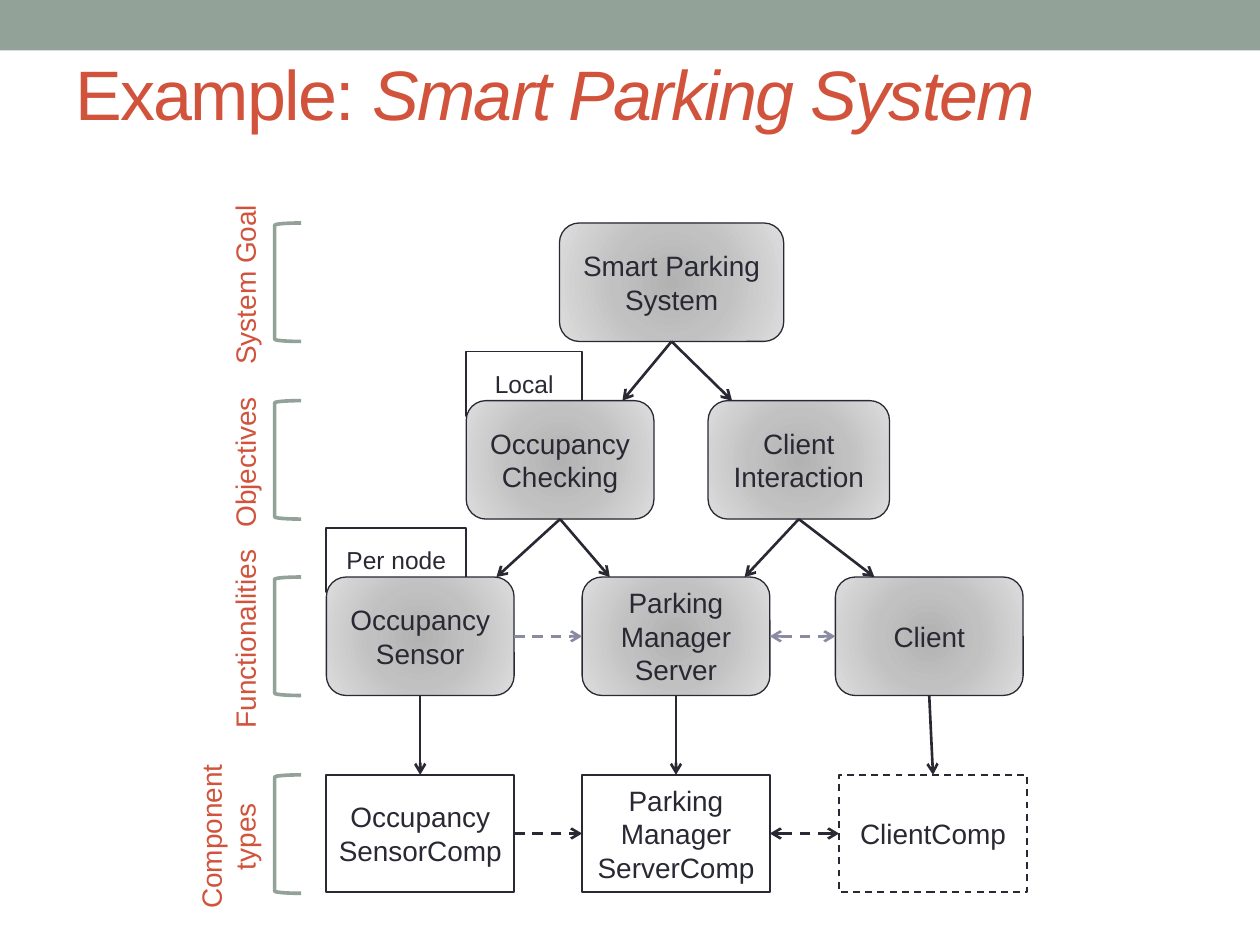
from dataclasses import dataclass

import lxml.etree
import pptx
import pptx.dml.color
import pptx.enum.dml
import pptx.enum.shapes
import pptx.enum.text
import pptx.oxml.ns
import pptx.util

Inches = pptx.util.Inches
SHAPES = pptx.enum.shapes.MSO_SHAPE
DASH = pptx.enum.dml.MSO_LINE.DASH
ALIGN = pptx.enum.text.PP_ALIGN
MIDDLE = pptx.enum.text.MSO_ANCHOR.MIDDLE
qn = pptx.oxml.ns.qn


@dataclass(frozen=True)
class Theme:
    """Colours, font and type sizes of the slide."""
    band: str = "93A299"
    accent: str = "D2533C"
    ink: str = "292934"
    muted: str = "8A8AA3"
    paper: str = "FFFFFF"
    goal_stops: tuple = ((0, "B2B2B3"), (45, "C1C1C2"), (100, "DDDDDE"))
    font: str = "Arial"
    title_size: int = 40
    body_size: int = 16
    tag_size: int = 14


THEME = Theme()
ROW_TOPS = (0.34, 1.75, 3.15, 4.72)
ROW_HEIGHT = 0.94


@dataclass(frozen=True)
class Box:
    """A rectangle in inches."""
    left: float
    top: float
    width: float
    height: float

    @property
    def center(self):
        """Horizontal middle of the box."""
        return self.left + self.width / 2

    @property
    def middle(self):
        """Vertical middle of the box."""
        return self.top + self.height / 2

    @property
    def right(self):
        """Right edge of the box."""
        return self.left + self.width

    @property
    def bottom(self):
        """Bottom edge of the box."""
        return self.top + self.height

    def inner(self, left, top, width, height):
        """Return a box placed relative to this one."""
        return Box(self.left + left, self.top + top, width, height)

    def emu(self):
        """Return the four lengths for python-pptx."""
        return [Inches(v) for v in (self.left, self.top, self.width, self.height)]


def rgb(value):
    """Turn a hex string into a colour."""
    return pptx.dml.color.RGBColor.from_string(value)


def write(paragraph, text, size=THEME.body_size, color=THEME.ink,
          italic=False, align=ALIGN.CENTER, spacing=None):
    """Append formatted text to a paragraph, breaking lines at newlines."""
    paragraph.alignment = align
    for index, line in enumerate(text.split("\n")):
        if index:
            paragraph.add_line_break()
        run = paragraph.add_run()
        run.text = line
        run.font.name, run.font.size = THEME.font, pptx.util.Pt(size)
        run.font.color.rgb = rgb(color)
        run.font.italic = italic
        if spacing is not None:
            run.font._element.set("spc", str(spacing * 100))


def style_line(line, color, width, dashed=False):
    """Set colour, width and dash of an outline."""
    line.color.rgb = rgb(color)
    line.width = pptx.util.Pt(width)
    if dashed:
        line.dash_style = DASH


def fill_radial(shape):
    """Fill a shape with the theme's circular gradient."""
    shape.fill.gradient()
    gradient = shape._element.spPr.find(qn("a:gradFill"))
    for child in list(gradient):
        gradient.remove(child)
    stops = lxml.etree.SubElement(gradient, qn("a:gsLst"))
    for position, color in THEME.goal_stops:
        stop = lxml.etree.SubElement(stops, qn("a:gs"), pos=str(position * 1000))
        lxml.etree.SubElement(stop, qn("a:srgbClr"), val=color)
    path = lxml.etree.SubElement(gradient, qn("a:path"), path="circle")
    lxml.etree.SubElement(path, qn("a:fillToRect"), dict.fromkeys("ltrb", "100000"))


def add_node(slide, box, text, goal=False, dashed=False, size=THEME.body_size):
    """Add a rounded goal node or a plain rectangular node."""
    kind = SHAPES.ROUNDED_RECTANGLE if goal else SHAPES.RECTANGLE
    node = slide.shapes.add_shape(kind, *box.emu())
    node.shadow.inherit = False
    if goal:
        fill_radial(node)
    else:
        node.fill.solid()
        node.fill.fore_color.rgb = rgb(THEME.paper)
    style_line(node.line, THEME.ink, 0.75 if goal else 1, dashed)
    frame = node.text_frame
    frame.word_wrap, frame.vertical_anchor = True, MIDDLE
    frame.margin_left = frame.margin_right = Inches(0.08)
    write(frame.paragraphs[0], text, size=size)
    return box


def add_arrow(slide, start, end, color=THEME.ink, dashed=False, both=False):
    """Add an arrow between two points."""
    ends = [Inches(v) for v in (*start, *end)]
    arrow = slide.shapes.add_connector(pptx.enum.shapes.MSO_CONNECTOR.STRAIGHT, *ends)
    style_line(arrow.line, color, 1.5, dashed)
    line = arrow.line._get_or_add_ln()
    for tag in ("a:headEnd", "a:tailEnd") if both else ("a:tailEnd",):
        lxml.etree.SubElement(line, qn(tag), type="arrow")
    lxml.etree.SubElement(arrow._element.spPr, qn("a:effectLst"))


def draw_band(slide, box):
    """Draw the band across the top."""
    band = slide.shapes.add_shape(SHAPES.RECTANGLE, *box.emu())
    band.shadow.inherit = False
    band.fill.solid()
    band.fill.fore_color.rgb = rgb(THEME.band)
    band.line.fill.background()


def draw_title(slide, box):
    """Place and format the title."""
    title = slide.shapes.title
    title.left, title.top, title.width, title.height = box.emu()
    title.text_frame.vertical_anchor = MIDDLE
    look = dict(size=THEME.title_size, color=THEME.accent, align=ALIGN.LEFT, spacing=-1)
    write(title.text_frame.paragraphs[0], "Example: ", **look)
    write(title.text_frame.paragraphs[0], "Smart Parking System", italic=True, **look)


def draw_levels(slide, box):
    """Draw the rotated level names with their brackets."""
    levels = (("System Goal", 1.9, 0.37), ("Objectives", 1.97, 0.37),
              ("Functionalities", 2.19, 0.37), ("Component\ntypes", 1.85, 0.64))
    for top, (name, length, depth) in zip(ROW_TOPS, levels):
        bracket_box = box.inner(0.96, top, 0.21, ROW_HEIGHT)
        bracket = slide.shapes.add_shape(SHAPES.LEFT_BRACKET, *bracket_box.emu())
        bracket.shadow.inherit = False
        bracket.fill.background()
        style_line(bracket.line, THEME.band, 2.08)
        label_box = Box(box.left + 0.91 - (depth + length) / 2,
                        bracket_box.middle + 0.02 - depth / 2, length, depth)
        label = slide.shapes.add_textbox(*label_box.emu())
        label.rotation = 270
        label.text_frame.word_wrap = True
        write(label.text_frame.paragraphs[0], name, color=THEME.accent)


def draw_tree(slide, box):
    """Draw the goal tree, its component types and their arrows."""
    for left, top, width, text in ((1.37, 2.76, 1.11, "Per node"), (2.48, 1.36, 0.92, "Local")):
        add_node(slide, box.inner(left, top, width, 0.51), text, size=THEME.tag_size)

    goal_rows = (((3.22, 1.78, "Smart Parking System"),),
                 ((2.48, 1.49, "Occupancy Checking"), (4.4, 1.44, "Client Interaction")),
                 ((1.37, 1.49, "Occupancy Sensor"), (3.4, 1.49, "Parking Manager Server"),
                  (5.41, 1.49, "Client")))
    (system,), (checking, interaction), functions = [
        [add_node(slide, box.inner(left, top, width, ROW_HEIGHT), text, goal=True)
         for left, width, text in row]
        for top, row in zip(ROW_TOPS, goal_rows)]

    component_row = ((1.37, "Occupancy\nSensorComp", False),
                     (3.4, "Parking\nManager\nServerComp", False), (5.44, "ClientComp", True))
    components = [add_node(slide, box.inner(left, ROW_TOPS[3], 1.49, 0.93), text, dashed=dashed)
                  for left, text, dashed in component_row]

    branches = ((system, checking, 3.72), (system, interaction, 4.59),
                (checking, functions[0], 2.72), (checking, functions[1], 3.62),
                (interaction, functions[1], 4.69), (interaction, functions[2], 5.72))
    for parent, child, tip in branches:
        add_arrow(slide, (parent.center, parent.bottom), (box.left + tip, child.top))
    for function, component in zip(functions, components):
        add_arrow(slide, (function.center, function.bottom), (component.center, component.top))
    for row, color in ((functions, THEME.muted), (components, THEME.ink)):
        for source, target, both in zip(row, row[1:], (False, True)):
            add_arrow(slide, (source.right, source.middle), (target.left, source.middle),
                      color=color, dashed=True, both=both)


def main():
    """Build and save the slide."""
    deck = pptx.Presentation()
    deck.slide_width, deck.slide_height = Inches(10), Inches(7.5)
    slide = deck.slides.add_slide(deck.slide_layouts.get_by_name("Title Only"))
    diagram = Box(1.22, 1.43, 7.31, 5.99)
    draw_band(slide, Box(0, 0, 10, 0.4))
    draw_title(slide, Box(0.5, 0.24, 9, 0.99))
    draw_levels(slide, diagram)
    draw_tree(slide, diagram)
    deck.save("out.pptx")


if __name__ == "__main__":
    main()
